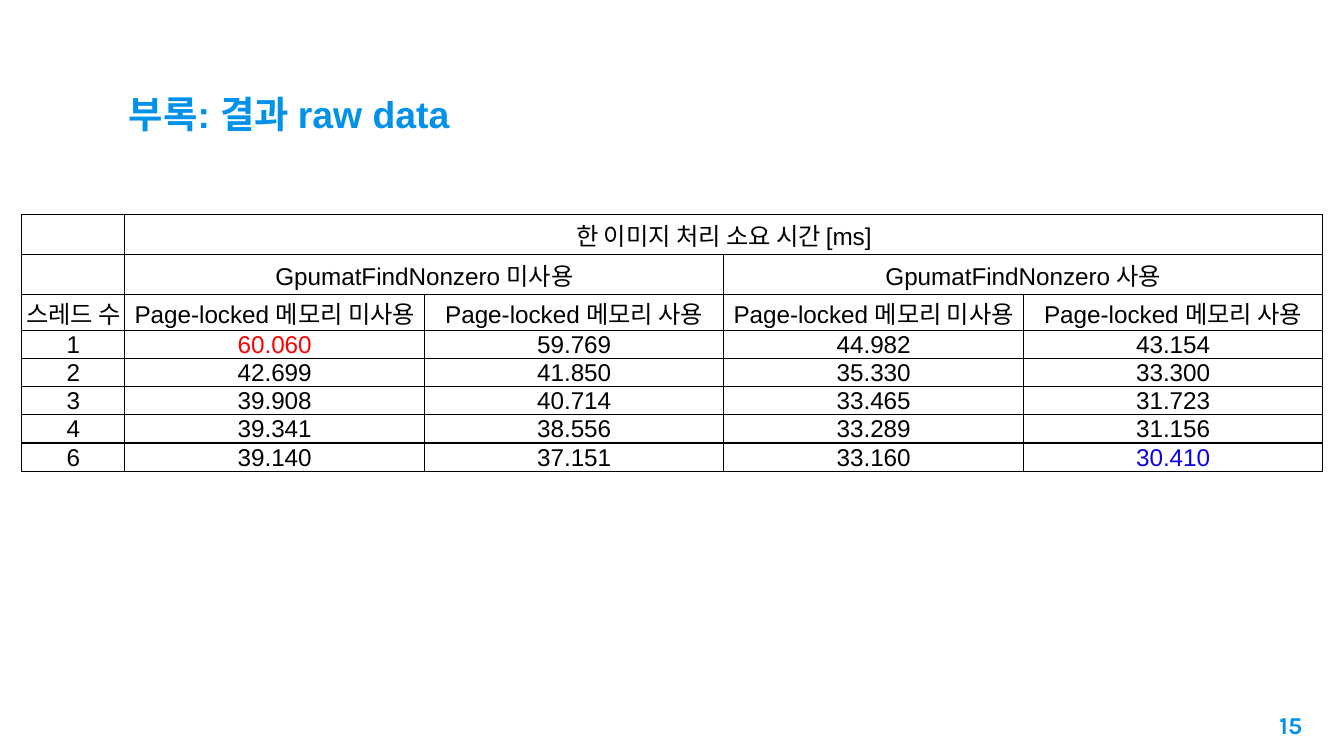
from lxml.etree import SubElement
from pptx import Presentation
from pptx.dml.color import RGBColor
from pptx.enum.text import MSO_ANCHOR as Anchor, MSO_AUTO_SIZE as AutoSize, PP_ALIGN as Align
from pptx.oxml.ns import qn
from pptx.util import Cm, Pt

COLORS = {"accent": "0091EA", "ink": "000000", "slowest": "FF0000", "fastest": "0D02E8"}
FORMATS = {
    "title": {"size": Pt(20), "name": "Arial", "bold": True},
    "cell": {"size": Pt(13), "name": "Arial", "bold": False},
    "page": {"size": Pt(13), "name": "Karla", "bold": True},
}
CELL_FRAME = {
    "margin_left": Cm(0.02), "margin_right": Cm(0.02), "margin_top": Cm(0.02),
    "margin_bottom": Cm(0), "vertical_anchor": Anchor.MIDDLE,
}
MEMORY = ["Page-locked 메모리 미사용", "Page-locked 메모리 사용"]
ROWS = [
    ["", "한 이미지 처리 소요 시간 [ms]", "", "", ""],
    ["", "GpumatFindNonzero 미사용", "", "GpumatFindNonzero 사용", ""],
    ["스레드 수", *MEMORY * 2],
    ["1", "60.060", "59.769", "44.982", "43.154"],
    ["2", "42.699", "41.850", "35.330", "33.300"],
    ["3", "39.908", "40.714", "33.465", "31.723"],
    ["4", "39.341", "38.556", "33.289", "31.156"],
    ["6", "39.140", "37.151", "33.160", "30.410"],
]
MERGES = [((0, 1), (0, 4)), ((1, 1), (1, 2)), ((1, 3), (1, 4))]
HIGHLIGHTS = {"60.060": "slowest", "30.410": "fastest"}


def set_attributes(target, values):
    """Set every attribute of a format dict on the target."""
    for name, value in values.items():
        setattr(target, name, value)


def write(paragraph, text, style, color, align):
    """Write one formatted run into a paragraph."""
    paragraph.alignment = align
    run = paragraph.add_run()
    run.text = text
    set_attributes(run.font, FORMATS[style])
    run.font.color.rgb = RGBColor.from_string(COLORS[color])


def draw_borders(cell):
    """Give a cell thin solid lines on all four sides and no fill."""
    properties = cell._tc.get_or_add_tcPr()
    for side in ("lnL", "lnR", "lnT", "lnB"):
        line = SubElement(properties, qn(f"a:{side}"), w=str(Pt(0.75)))
        fill = SubElement(line, qn("a:solidFill"))
        SubElement(fill, qn("a:srgbClr"), val=COLORS["ink"])
    cell.fill.background()


def add_heading(slide, left, top, width, height):
    """Place and format the slide title."""
    heading = slide.shapes.title
    set_attributes(heading, {"left": left, "top": top, "width": width, "height": height})
    frame = heading.text_frame
    set_attributes(frame, {
        "vertical_anchor": Anchor.BOTTOM, "auto_size": AutoSize.NONE, "word_wrap": True,
        "margin_top": Cm(0.25), "margin_bottom": Cm(0.25),
    })
    write(frame.paragraphs[0], "부록: 결과 raw data", "title", "accent", Align.LEFT)


def add_timings(slide, left, top, width, height):
    """Place the table of processing times per thread count."""
    timings = slide.shapes.add_table(len(ROWS), len(ROWS[0]), left, top, width, height).table
    threads_width = Cm(1.95)
    for index, column in enumerate(timings.columns):
        column.width = (width - threads_width) // 4 if index else threads_width
    for index, row in enumerate(timings.rows):
        row.height = Cm(0.75) if index < 2 else Cm(0.51)
    for start, end in MERGES:
        timings.cell(*start).merge(timings.cell(*end))
    for row, texts in enumerate(ROWS):
        for column, text in enumerate(texts):
            cell = timings.cell(row, column)
            set_attributes(cell, CELL_FRAME)
            draw_borders(cell)
            paragraph = cell.text_frame.paragraphs[0]
            if text:
                write(paragraph, text, "cell", HIGHLIGHTS.get(text, "ink"), Align.CENTER)
            else:
                SubElement(paragraph._p, qn("a:endParaRPr"), sz="1300")


def add_page_number(slide, left, top, width, height):
    """Place the page number."""
    frame = slide.shapes.add_textbox(left, top, width, height).text_frame
    set_attributes(frame, {
        "word_wrap": True, "margin_top": Cm(0.25), "margin_bottom": Cm(0.25),
    })
    write(frame.paragraphs[0], "15", "page", "accent", Align.RIGHT)


def main():
    """Build the appendix slide and save it."""
    deck = Presentation()
    deck.slide_width, deck.slide_height = Cm(25.4), Cm(14.29)
    slide = deck.slides.add_slide(deck.slide_layouts[5])
    add_heading(slide, Cm(2.18), Cm(0.86), Cm(21.03), Cm(1.96))
    add_timings(slide, Cm(0.41), Cm(4.06), Cm(24.59), Cm(4.56))
    add_page_number(slide, Cm(23.34), Cm(13.18), Cm(1.52), Cm(1.09))
    deck.save("out.pptx")


if __name__ == "__main__":
    main()
